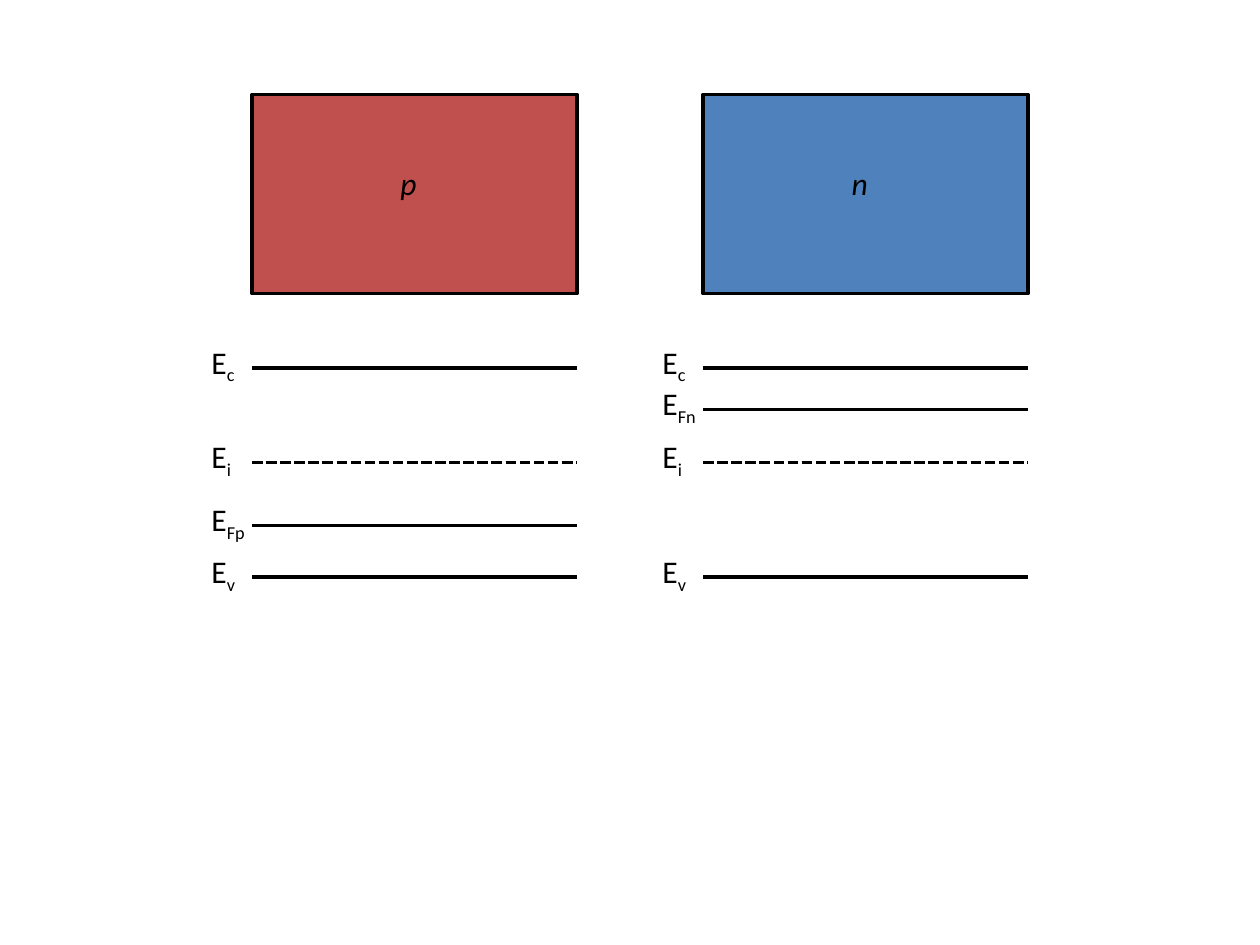
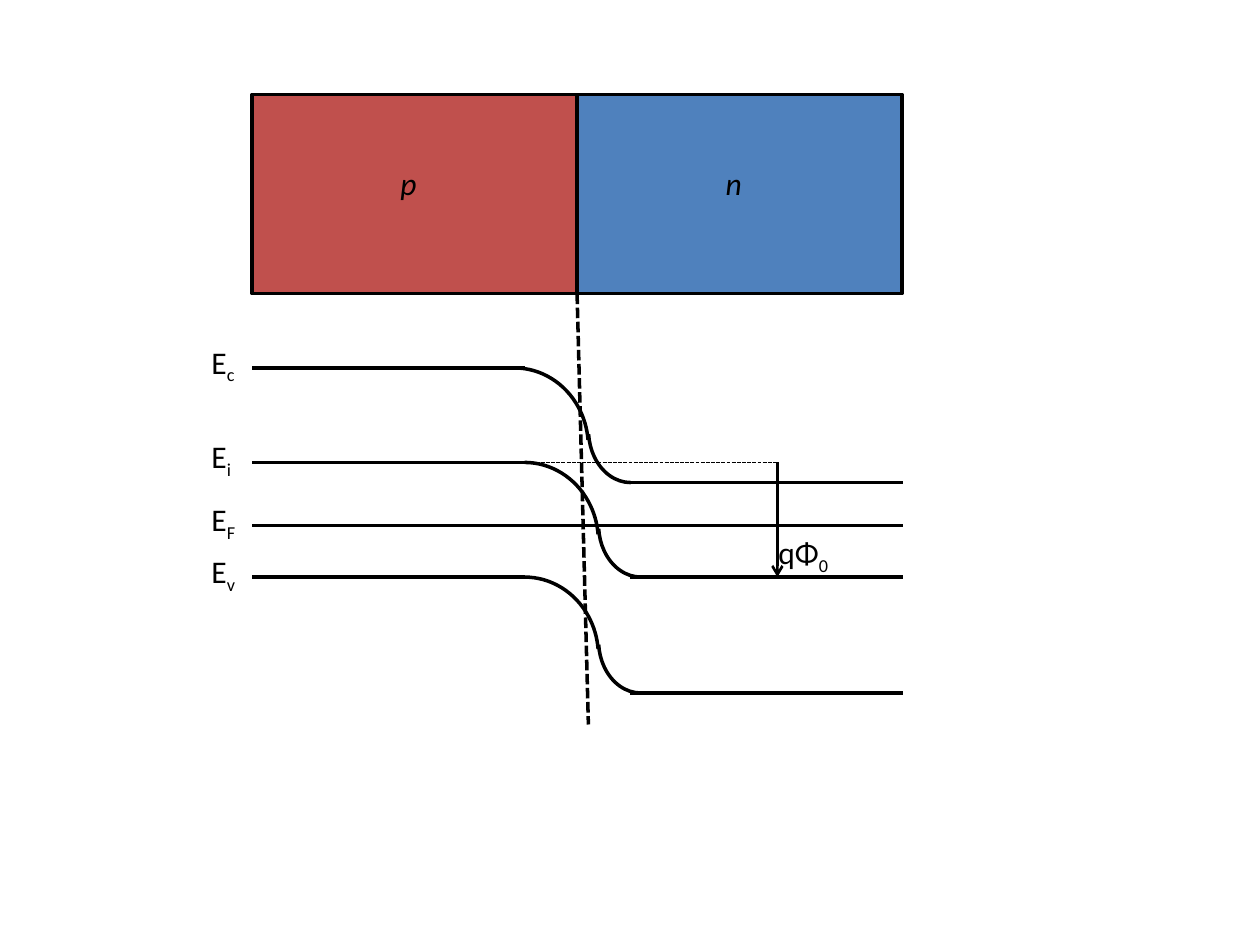
"""Draw p and n energy bands, first apart and then joined."""
import pptx
import pptx.util
import pptx.dml.color
import pptx.enum.dml
import pptx.enum.shapes
import pptx.enum.text
import pptx.oxml
import pptx.oxml.ns

Inches = pptx.util.Inches
Pt = pptx.util.Pt
COLORS = {"p": "C0504D", "n": "4F81BD", "ink": "000000"}
FONT = "Calibri"
WIDTH, TOP, HEIGHT = 2.58, 0.75, 1.58
LEFT, SPLIT, RIGHT = 2, 4.58, 7.17
BEND, FLAT = 4.17, 5
LEVELS = {"c": 2.92, "Fn": 3.25, "i": 3.67, "Fp": 4.17, "v": 4.58}


def paint(name):
    return pptx.dml.color.RGBColor.from_string(COLORS[name])


def ink(line, weight=2, dash=False):
    line.color.rgb = paint("ink")
    line.width = Pt(weight)
    if dash:
        line.dash_style = pptx.enum.dml.MSO_LINE.SQUARE_DOT


def rule(board, start, end, weight=2, dash=False, arrow=False):
    points = [Inches(v) for v in (*start, *end)]
    line = board.add_connector(pptx.enum.shapes.MSO_CONNECTOR.STRAIGHT, *points)
    ink(line.line, weight, dash)
    props = line._element.spPr
    if arrow:
        tip = pptx.oxml.ns.qn("a:tailEnd")
        line.line._get_or_add_ln().makeelement(tip, {})
        edge = line.line._get_or_add_ln()
        edge.append(edge.makeelement(tip, {"type": "arrow"}))
    props.append(props.makeelement(pptx.oxml.ns.qn("a:effectLst"), {}))


def shape(board, kind, *place):
    item = board.add_shape(kind, *[Inches(v) for v in place])
    item.shadow.inherit = False
    ink(item.line)
    return item


def label(board, left, top, width, text, sub="", slant=False):
    box = board.add_textbox(*[Inches(v) for v in (left, top, width, 0.4)])
    frame = box.text_frame
    frame.word_wrap = True
    frame.auto_size = pptx.enum.text.MSO_AUTO_SIZE.SHAPE_TO_FIT_TEXT
    for part in filter(None, (text, sub)):
        run = frame.paragraphs[0].add_run()
        run.text = part
        run.font.name = FONT
        run.font.size = Pt(18)
        run.font.color.rgb = paint("ink")
        if slant:
            run.font.italic = True
        if part == sub:
            run._r.get_or_add_rPr().set("baseline", "-25000")


def block(board, name, left):
    item = shape(board, pptx.enum.shapes.MSO_SHAPE.RECTANGLE, left, TOP, WIDTH, HEIGHT)
    item.fill.solid()
    item.fill.fore_color.rgb = paint(name)
    label(board, left + 1.08, 1.25, 0.75, name, slant=True)


def energy(board, left, level, sub):
    label(board, left - 0.42, level - 0.25, 0.5, "E", sub)


def arc(board, left, top, width, height, turn=0):
    item = shape(board, pptx.enum.shapes.MSO_SHAPE.ARC, left, top, width, height)
    item.fill.background()
    item.adjustments[0] = 162
    item.adjustments[1] = 212.81
    item.rotation = turn


def band(board, sub, low, left):
    high = LEVELS[sub]
    rule(board, (LEFT, high), (BEND, high))
    rule(board, (FLAT, low), (RIGHT, low))
    arc(board, left, high, 1.17, 1.25)
    arc(board, left + 1.17, low - 0.83, 0.67, 0.83, 180)
    energy(board, LEFT, high, sub)


def apart(slide):
    board = slide.shapes.add_group_shape().shapes
    for name, left, subs in (("p", LEFT, ("c", "i", "Fp", "v")),
                             ("n", 5.58, ("c", "Fn", "i", "v"))):
        block(board, name, left)
        for sub in subs:
            level = LEVELS[sub]
            rule(board, (left, level), (left + WIDTH, level), dash=sub == "i")
            energy(board, left, level, sub)


def joined(slide):
    board = slide.shapes
    block(board, "p", LEFT)
    block(board, "n", SPLIT)
    for sub, low, left in (("c", 3.83, 3.5), ("i", 4.58, 3.58), ("v", 5.5, 3.58)):
        band(board, sub, low, left)
    fermi, mid, drop = LEVELS["Fp"], LEVELS["i"], 6.17
    rule(board, (LEFT, fermi), (BEND, fermi))
    rule(board, (BEND, fermi), (RIGHT, fermi))
    energy(board, LEFT, fermi, "F")
    rule(board, (SPLIT, TOP + HEIGHT), (4.67, 5.75), dash=True)
    rule(board, (BEND, mid), (drop, mid), weight=0.75, dash=True)
    rule(board, (drop, mid), (drop, 4.58), weight=1.5, arrow=True)
    label(board, 6.08, 4.18, 0.75, "qΦ", "0")


def main():
    deck = pptx.Presentation()
    deck.slide_width, deck.slide_height = Inches(10), Inches(7.5)
    for draw in (apart, joined):
        draw(deck.slides.add_slide(deck.slide_layouts[6]))
    deck.save("out.pptx")


main()
